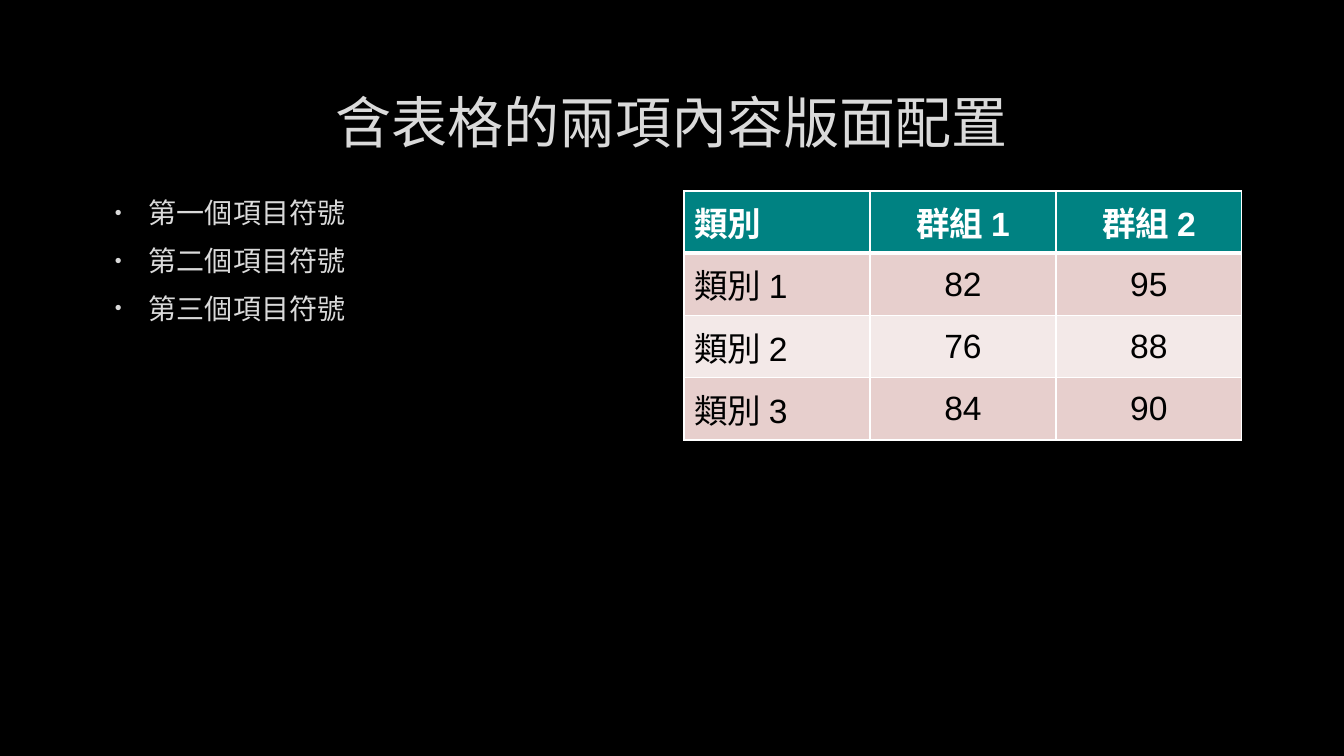
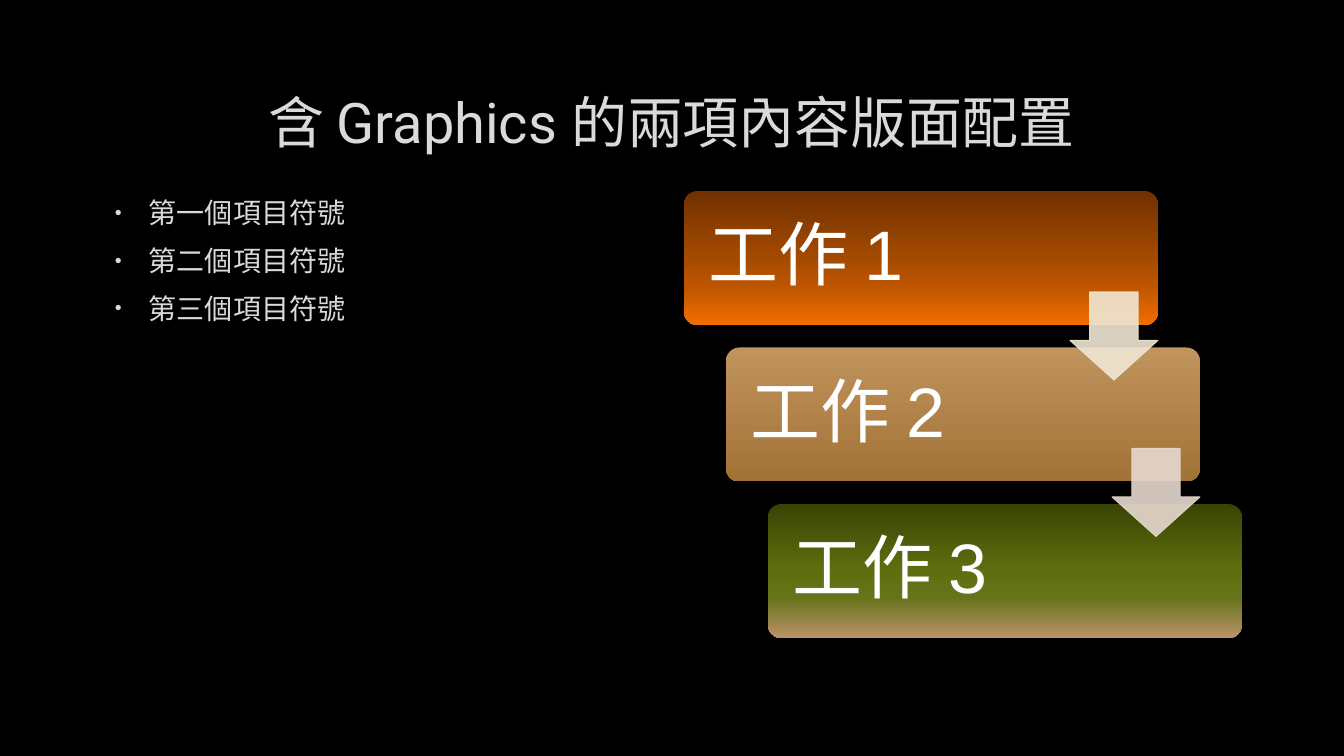
"""Build two dark two-content slides: one with a table, one with descending steps."""
from dataclasses import dataclass

from pptx import Presentation
from pptx.dml.color import RGBColor
from pptx.enum.lang import MSO_LANGUAGE_ID
from pptx.enum.shapes import MSO_SHAPE
from pptx.enum.text import MSO_ANCHOR, PP_ALIGN
from pptx.oxml import parse_xml
from pptx.oxml.ns import nsdecls
from pptx.util import Pt

BULLETS = ["第一個項目符號", "第二個項目符號", "第三個項目符號"]
TABLE_TITLE = "含表格的兩項內容版面配置"
TABLE = [
    ("類別", "群組 1", "群組 2"),
    ("類別 1", "82", "95"),
    ("類別 2", "76", "88"),
    ("類別 3", "84", "90"),
]
STEPS_TITLE = "含 Graphics 的兩項內容版面配置"
STEPS = [
    ("工作 1", [(0, "703000"), (50, "A44A00"), (70, "BC5500"), (100, "F26D00")]),
    ("工作 2", [(0, "C1935D"), (100, "A17337")]),
    ("工作 3", [(0, "394404"), (50, "5F6F0F"), (70, "65741A"), (100, "BC9268")]),
]
ARROWS = ["EFE7D4", "E7D9CF"]


@dataclass(frozen=True)
class Theme:
    back: str = "000000"
    text: str = "DADADA"
    white: str = "FFFFFF"
    black: str = "000000"
    header: str = "008282"
    bands: tuple = ("E7CFCD", "F3E9E8")
    title_pt: int = 40
    body_pt: int = 20
    table_pt: int = 24
    step_pt: int = 50
    object_font: str = "Arial"


T = Theme()
SCALE = 914400 / 100.8
TITLE_BOX = (101, 68, 1141, 107)
BODY_BOX = (101, 191, 557, 447)
OBJECT_BOX = (684, 191, 558, 447)
TABLE_H = 249
STEP_W, STEP_H = 474, 134
ARROW, ARROW_DROP = 88, 101


def px(n):
    return round(n * SCALE)


def box(*lengths):
    return [px(n) for n in lengths]


def rgb(color):
    return RGBColor.from_string(color)


def add_run(p, text, size, font, color, bold=False):
    r = p.add_run()
    r.text = text
    f = r.font
    f.size, f.name, f.bold = Pt(size), font, bold
    f.color.rgb = rgb(color)
    f.language_id = MSO_LANGUAGE_ID.TRADITIONAL_CHINESE


def add_text(s, place, anchor):
    tf = s.shapes.add_textbox(*box(*place)).text_frame
    tf.word_wrap = True
    tf.vertical_anchor = anchor
    return tf


def set_bullet(p):
    pPr = p._p.get_or_add_pPr()
    pPr.set("marL", str(px(38)))
    pPr.set("indent", str(px(-34)))
    p.space_after = Pt(6)
    ns = nsdecls("a")
    pPr.insert(0, parse_xml(f'<a:spcBef {ns}><a:spcPct val="20000"/></a:spcBef>'))
    for xml in (
        f'<a:buClr {ns}><a:srgbClr val="{T.text}"/></a:buClr>',
        f'<a:buSzPct {ns} val="70000"/>',
        f'<a:buFont {ns} typeface="{T.object_font}"/>',
        f'<a:buChar {ns} char="•"/>',
    ):
        pPr.append(parse_xml(xml))


def new_slide(prs, title, font):
    s = prs.slides.add_slide(prs.slide_layouts[6])
    s.background.fill.solid()
    s.background.fill.fore_color.rgb = rgb(T.back)
    p = add_text(s, TITLE_BOX, MSO_ANCHOR.MIDDLE).paragraphs[0]
    p.alignment = PP_ALIGN.CENTER
    add_run(p, title, T.title_pt, font, T.text)
    tf = add_text(s, BODY_BOX, MSO_ANCHOR.TOP)
    for i, text in enumerate(BULLETS):
        p = tf.add_paragraph() if i else tf.paragraphs[0]
        set_bullet(p)
        add_run(p, text, T.body_pt, font, T.text)
    return s


def set_borders(cell, top, bottom):
    tcPr = cell._tc.get_or_add_tcPr()
    widths = {"lnL": 1, "lnR": 1, "lnT": top, "lnB": bottom}
    for i, (side, width) in enumerate(widths.items()):
        tcPr.insert(i, parse_xml(
            f'<a:{side} {nsdecls("a")} w="{Pt(width)}"><a:solidFill>'
            f'<a:srgbClr val="{T.white}"/></a:solidFill></a:{side}>'))


def add_score_table(s):
    x, y, w, _ = OBJECT_BOX
    table = s.shapes.add_table(len(TABLE), len(TABLE[0]), *box(x, y, w, TABLE_H)).table
    for i, row in enumerate(TABLE):
        head = i == 0
        for j, text in enumerate(row):
            cell = table.cell(i, j)
            cell.vertical_anchor = MSO_ANCHOR.MIDDLE
            cell.fill.solid()
            cell.fill.fore_color.rgb = rgb(T.header if head else T.bands[(i - 1) % 2])
            set_borders(cell, 3 if i == 1 else 1, 3 if head else 1)
            p = cell.text_frame.paragraphs[0]
            p.alignment = PP_ALIGN.CENTER if j else PP_ALIGN.LEFT
            add_run(p, text, T.table_pt, T.object_font, T.white if head else T.black, head)


def add_step(s, x, y, text, stops):
    sp = s.shapes.add_shape(MSO_SHAPE.ROUNDED_RECTANGLE, *box(x, y, STEP_W, STEP_H))
    sp.adjustments[0] = 0.1
    sp.shadow.inherit = False
    sp.line.fill.background()
    marks = "".join(f'<a:gs pos="{pos * 1000}"><a:srgbClr val="{c}"/></a:gs>' for pos, c in stops)
    sp._element.spPr.insert(2, parse_xml(
        f'<a:gradFill {nsdecls("a")} rotWithShape="1"><a:gsLst>{marks}</a:gsLst>'
        '<a:lin ang="5400000" scaled="0"/></a:gradFill>'))
    tf = sp.text_frame
    tf.vertical_anchor = MSO_ANCHOR.MIDDLE
    tf.margin_left = px(21)
    p = tf.paragraphs[0]
    p.alignment = PP_ALIGN.LEFT
    p.line_spacing = 0.9
    add_run(p, text, T.step_pt, T.object_font, T.white)


def add_arrow(s, x, y, color):
    sp = s.shapes.add_shape(MSO_SHAPE.DOWN_ARROW, *box(x, y, ARROW, ARROW))
    sp.adjustments[0], sp.adjustments[1] = 0.55, 0.45
    sp.shadow.inherit = False
    sp.line.width = Pt(0.75)
    for fill in (sp.fill, sp.line.fill):
        fill.solid()
        fill.fore_color.rgb = rgb(color)
    for clr in sp._element.spPr.iter("{*}srgbClr"):
        clr.append(parse_xml(f'<a:alpha {nsdecls("a")} val="90000"/>'))


def add_steps(s):
    x, y, w, h = OBJECT_BOX
    gaps = len(STEPS) - 1
    dx, dy = (w - STEP_W) / gaps, (h - STEP_H) / gaps
    for i, (text, stops) in enumerate(STEPS):
        add_step(s, x + i * dx, y + i * dy, text, stops)
    for i, color in enumerate(ARROWS):
        add_arrow(s, x + i * dx + STEP_W - ARROW, y + i * dy + ARROW_DROP, color)


prs = Presentation()
prs.slide_width, prs.slide_height = box(1344, 756)
add_score_table(new_slide(prs, TABLE_TITLE, "Lato"))
add_steps(new_slide(prs, STEPS_TITLE, "Roboto"))
prs.save("out.pptx")
